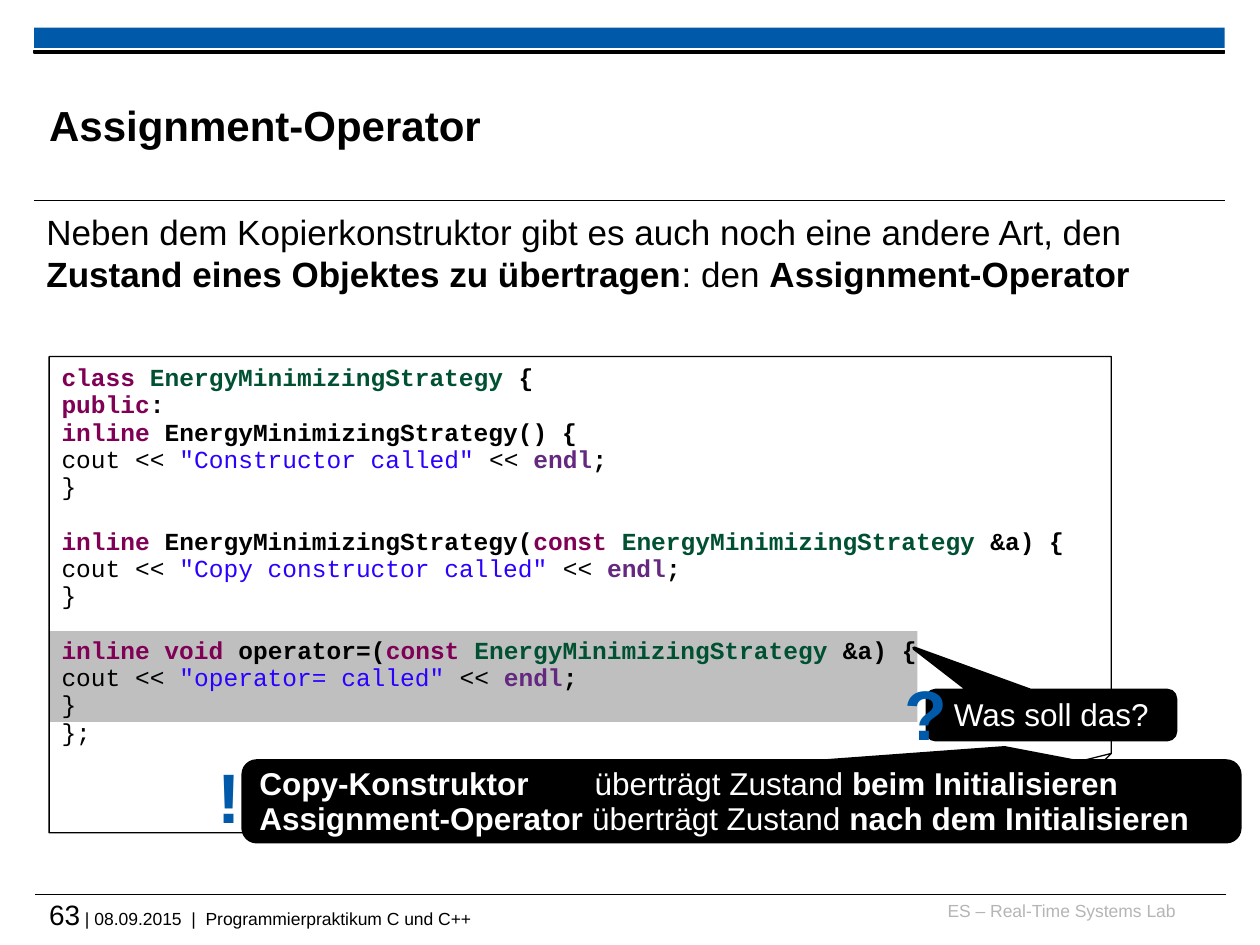
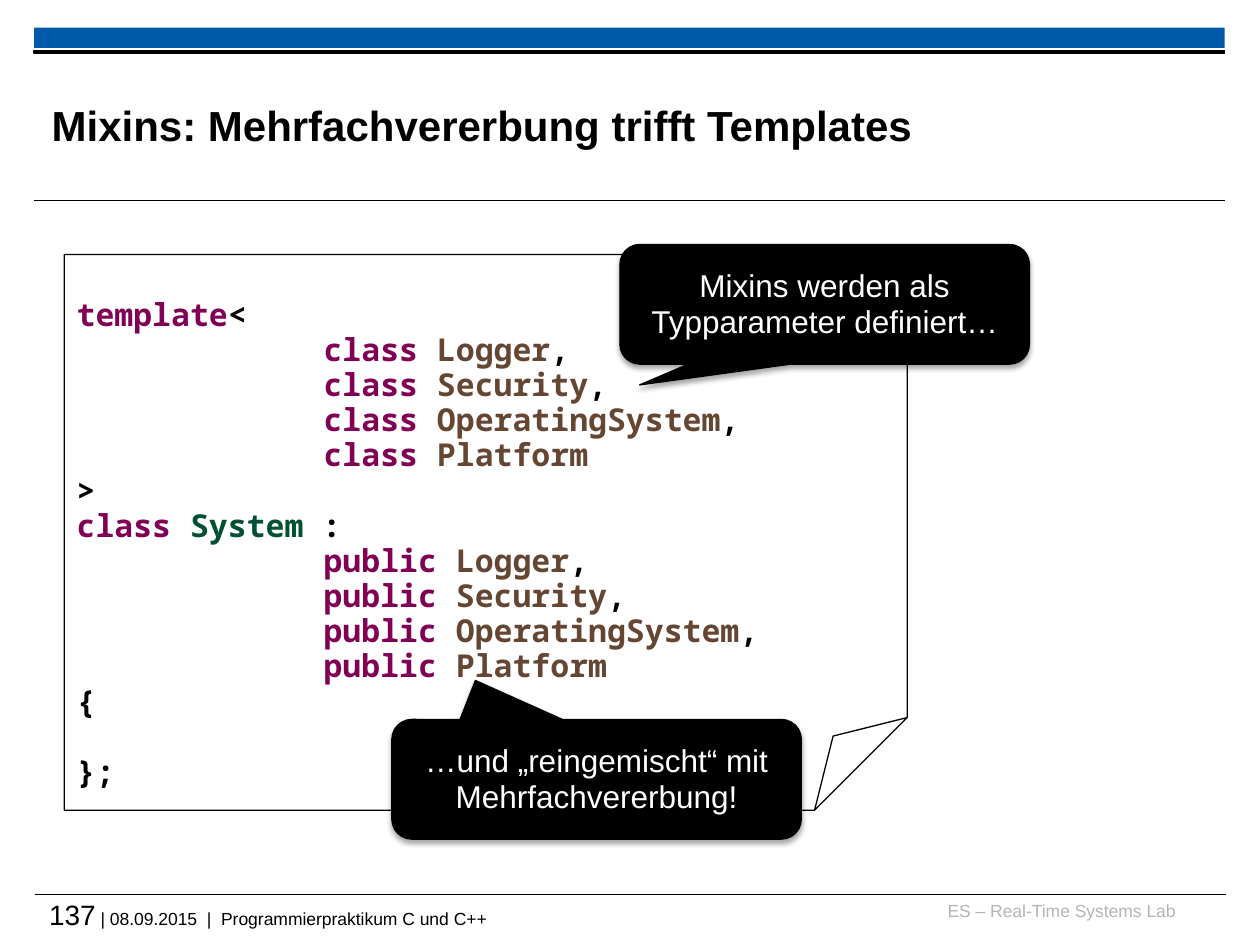
"""Build two slides on C++ assignment operators and mixins."""
from lxml import etree
from pptx import Presentation
from pptx.dml.color import RGBColor
from pptx.enum.shapes import MSO_CONNECTOR as Connector, MSO_SHAPE as Preset
from pptx.enum.text import MSO_ANCHOR as Anchor, MSO_AUTO_SIZE as AutoSize, PP_ALIGN as Align
from pptx.oxml.ns import qn
from pptx.util import Inches, Pt

COLORS = {
    "black": "000000", "white": "FFFFFF", "blue": "005AA9", "footer": "B5B5B5",
    "highlight": "BFBFBF", "keyword": "7F0055", "type": "005032",
    "string": "2A00FF", "stream": "642880", "parameter": "644632",
}
STYLES = {
    "plain": ("black", False), "strong": ("black", True),
    "white": ("white", False), "white strong": ("white", True),
    "footer": ("footer", False), "mark": ("blue", True),
    "keyword": ("keyword", True), "type": ("type", True),
    "string": ("string", False), "stream": ("stream", True),
    "parameter": ("parameter", True),
}
TIGHT = 1.116
SINGLE = 1.2


def add_box(slide, preset, at, fill=None, line=None, adjustments=()):
    """Add a preset shape; without a preset, add a text box."""
    lengths = [Inches(value) for value in at]
    if preset is None:
        return slide.shapes.add_textbox(*lengths)
    shape = slide.shapes.add_shape(preset, *lengths)
    shape.shadow.inherit = False
    for index, value in enumerate(adjustments):
        shape.adjustments[index] = value
    if fill:
        shape.fill.solid()
        shape.fill.fore_color.rgb = RGBColor.from_string(COLORS[fill])
    else:
        shape.fill.background()
    if line:
        shape.line.color.rgb = RGBColor.from_string(COLORS["black"])
        shape.line.width = Pt(line)
    else:
        shape.line.fill.background()
    return shape


def add_text(shape, paragraphs, size, font="Arial", spacing=TIGHT,
             align=Align.LEFT, anchor=Anchor.TOP, margins=None):
    """Write paragraphs given as (blank lines before, indent, runs)."""
    frame = shape.text_frame
    frame.word_wrap = True
    frame.auto_size = AutoSize.NONE
    frame.vertical_anchor = anchor
    if margins is not None:
        frame.margin_left = frame.margin_right = Inches(margins)
        frame.margin_top = frame.margin_bottom = Inches(margins)
    pitch = round(size * spacing, 1)
    for number, (gap, indent, runs) in enumerate(paragraphs):
        paragraph = frame.add_paragraph() if number else frame.paragraphs[0]
        paragraph.alignment = align
        paragraph.line_spacing = Pt(pitch)
        paragraph.space_before = Pt(gap * pitch)
        if indent:
            properties = paragraph._p.get_or_add_pPr()
            properties.set("marL", str(Inches(indent)))
            properties.set("indent", "0")
        for text, style in runs:
            color, bold = STYLES[style]
            run = paragraph.add_run()
            run.text = text
            run.font.name = font
            run.font.size = Pt(size)
            run.font.bold = bold
            run.font.color.rgb = RGBColor.from_string(COLORS[color])
    return frame


presentation = Presentation()
presentation.slide_width = Inches(10)
presentation.slide_height = Inches(7.5)
layout = presentation.slide_layouts[5]
for placeholder in list(layout.placeholders):
    if placeholder.placeholder_format.idx:
        placeholder.element.getparent().remove(placeholder.element)

pages = [
    ("63", "Assignment-Operator", (0.39, 0.53, 7.52, 0.92)),
    ("137", "Mixins: Mehrfachvererbung trifft Templates", (0.41, 0.53, 7.88, 0.92)),
]
slides = [presentation.slides.add_slide(layout) for page in pages]
assignment, mixins = slides

band = add_box(assignment, Preset.RECTANGLE, (0.27, 0.22, 9.45, 0.16), "blue")
rule = add_box(assignment, Preset.RECTANGLE, (0.27, 0.4, 9.45, 0.02), "black", 0.75)
lab = add_box(assignment, None, (7.36, 7.14, 1.97, 0.25))
add_text(lab, [(0, 0, [("ES – Real-Time Systems Lab", "footer")])], 10,
         spacing=SINGLE, align=Align.RIGHT, margins=0)
shared = [band, rule, lab]
for left, top in ((0.27, 1.59), (0.28, 7.1)):
    line = assignment.shapes.add_connector(
        Connector.STRAIGHT, Inches(left), Inches(top), Inches(left + 9.45), Inches(top))
    line.line.color.rgb = RGBColor.from_string(COLORS["black"])
    line.line.width = Pt(0.6)
    etree.SubElement(line.element.spPr, qn("a:effectLst"))
    shared.append(line)
for shape in shared:
    layout.shapes.element.append(shape.element)

for slide, (page_number, heading, at) in zip(slides, pages):
    title = slide.shapes.title
    title.left, title.top, title.width, title.height = [Inches(value) for value in at]
    add_text(title, [(0, 0, [(heading, "strong")])], 24,
             spacing=SINGLE, anchor=Anchor.MIDDLE, margins=0)
    footer = add_box(slide, None, (0.39, 7.12, 9.33, 0.33))
    frame = add_text(footer, [(0, 0, [
        (page_number, "plain"),
        (" | 08.09.2015  |  Programmierpraktikum C und C++", "plain"),
    ])], 16, spacing=SINGLE, margins=0)
    frame.paragraphs[0].runs[1].font.size = Pt(10)

add_box(assignment, Preset.RECTANGLE, (0.39, 5.01, 6.89, 0.72), "highlight")
introduction = add_box(assignment, None, (0.27, 1.62, 9.45, 0.9))
add_text(introduction, [(0, 0, [
    ("Neben dem Kopierkonstruktor gibt es auch noch eine andere Art, den ", "plain"),
    ("Zustand eines Objektes zu übertragen", "strong"),
    (": den ", "plain"),
    ("Assignment-Operator", "strong"),
])], 20, spacing=SINGLE)

strategy = "EnergyMinimizingStrategy"
argument = [("const ", "keyword"), (strategy, "type"), (" &a) {", "strong")]
members = [
    (0, [("inline ", "keyword"), (strategy + "() {", "strong")], "Constructor called"),
    (1, [("inline ", "keyword"), (strategy + "(", "strong")] + argument,
     "Copy constructor called"),
    (1, [("inline void", "keyword"), (" operator=(", "strong")] + argument,
     "operator= called"),
]
class_lines = [
    (0, 0, [("class ", "keyword"), (strategy, "type"), (" {", "strong")]),
    (0, 0, [("public", "keyword"), (":", "strong")]),
]
for gap, signature, message in members:
    class_lines += [
        (gap, 0, signature),
        (0, 0, [("cout << ", "plain"), (f'"{message}"', "string"), (" << ", "plain"),
                ("endl", "stream"), (";", "strong")]),
        (0, 0, [("}", "plain")]),
    ]
class_lines.append((0, 0, [("};", "plain")]))
class_code = add_box(assignment, Preset.FOLDED_CORNER, (0.39, 2.83, 8.43, 3.78), line=0.75)
frame = add_text(class_code, class_lines, 14, "Courier New")
frame.margin_top = Inches(0.06)

question = add_box(assignment, Preset.ROUNDED_RECTANGULAR_CALLOUT,
                   (7.36, 5.48, 1.97, 0.39), "black", 2, (-0.554, -1.362, 0.167))
add_text(question, [(0, 0, [("Was soll das?", "white")])], 18,
         align=Align.CENTER, anchor=Anchor.MIDDLE)
comparison = add_box(assignment, Preset.ROUNDED_RECTANGULAR_CALLOUT,
                     (1.93, 6.04, 7.91, 0.64), "black", 2, (0.264, -0.664, 0.167))
frame = add_text(comparison, [
    (0, 0, [("Copy-Konstruktor\t", "white strong"), ("überträgt Zustand ", "white"),
            ("beim Initialisieren", "white strong")]),
    (0, 0, [("Assignment-Operator ", "white strong"), ("überträgt Zustand ", "white"),
            ("nach dem Initialisieren", "white strong")]),
], 18, anchor=Anchor.MIDDLE)
tabs = etree.SubElement(frame.paragraphs[0]._p.get_or_add_pPr(), qn("a:tabLst"))
etree.SubElement(tabs, qn("a:tab"), pos=str(Inches(2.66)), algn="l")
for mark, left, top in (("?", 7.15, 5.37), ("!", 1.62, 6.03)):
    mark_box = add_box(assignment, None, (left, top, 0.4, 0.63))
    add_text(mark_box, [(0, 0, [(mark, "mark")])], 40, align=Align.CENTER, margins=0)

parameters = ["Logger", "Security", "OperatingSystem", "Platform"]
class_list, base_list = [
    [(0, 1.96, [(word, "keyword"), (name, "parameter")]
      + ([(",", "strong")] if name != parameters[-1] else []))
     for name in parameters]
    for word in ("class ", "public ")
]
template_lines = [
    (0, 0, [("template", "keyword"), ("<", "strong")]),
    *class_list,
    (0, 0, [(">", "strong")]),
    (0, 0, [("class ", "keyword"), ("System", "type"), (" :", "strong")]),
    *base_list,
    (0, 0, [("{", "strong")]),
    (1, 0, [("};", "strong")]),
]
template_code = add_box(mixins, Preset.FOLDED_CORNER, (0.51, 2.02, 6.69, 4.41), line=0.75)
frame = add_text(template_code, template_lines, 18, "Noto Sans Mono")
frame.margin_top = Inches(0.34)

remarks = [
    ("Mixins werden als Typparameter definiert…", 4.92, 1.94, (-0.452, 0.674, 0.167)),
    ("…und „reingemischt“ mit Mehrfachvererbung!", 3.11, 5.71, (-0.296, -0.826, 0.167)),
]
for remark, left, top, adjustments in remarks:
    callout = add_box(mixins, Preset.ROUNDED_RECTANGULAR_CALLOUT,
                      (left, top, 3.25, 0.95), "black", 0.75, adjustments)
    add_text(callout, [(0, 0, [(remark, "white")])], 18,
             align=Align.CENTER, anchor=Anchor.MIDDLE)
    effects = callout.element.spPr.find(qn("a:effectLst"))
    shadow = etree.SubElement(effects, qn("a:outerShdw"), blurRad=str(Pt(3.1)),
                              dist=str(Pt(1.8)), dir="5400000", rotWithShape="0")
    shade = etree.SubElement(shadow, qn("a:srgbClr"), val=COLORS["black"])
    etree.SubElement(shade, qn("a:alpha"), val="35000")

presentation.save("out.pptx")
